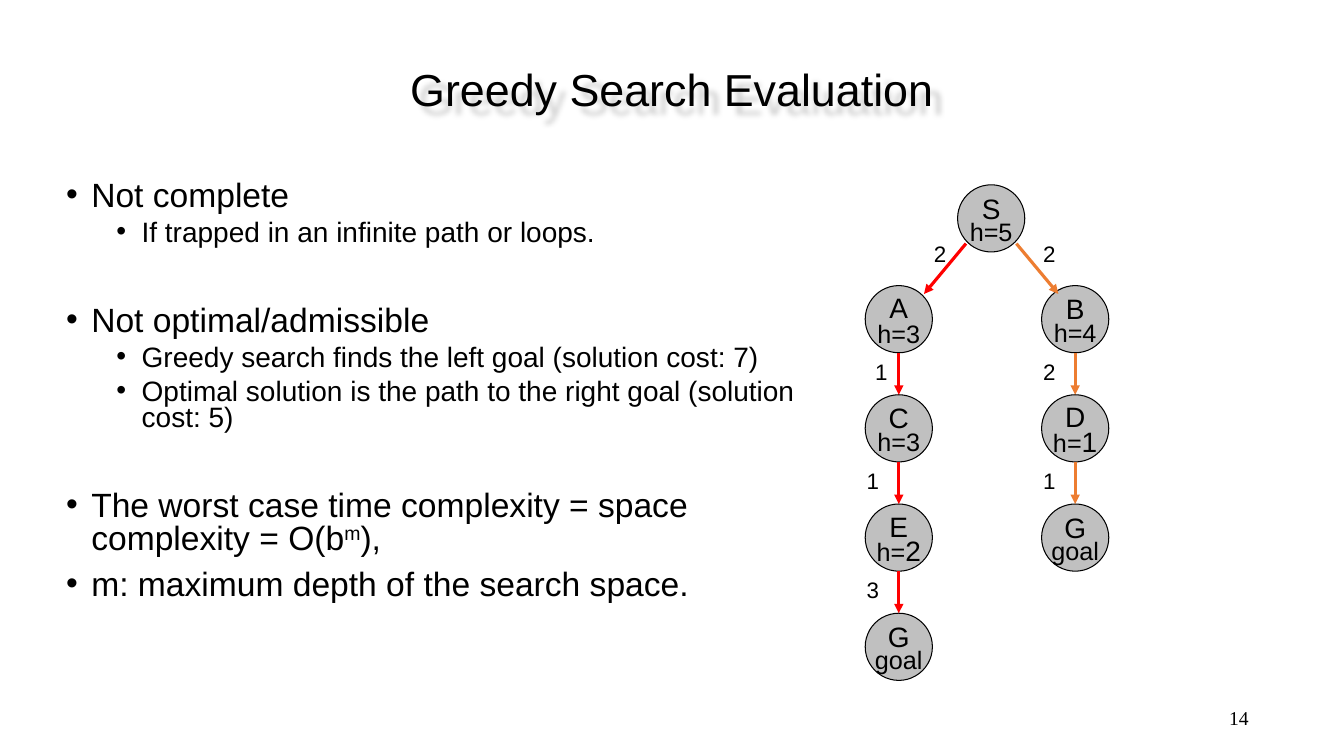
"""Build the slide on the evaluation of greedy search."""
from dataclasses import dataclass

import lxml.etree
import pptx
import pptx.dml.color
import pptx.enum.shapes
import pptx.enum.text
import pptx.oxml.ns
import pptx.util

Pt = pptx.util.Pt
qn = pptx.oxml.ns.qn
ALIGN = pptx.enum.text.PP_ALIGN
ANCHOR = pptx.enum.text.MSO_ANCHOR
COLORS = {"text": "000000", "node": "C0C0C0", "greedy": "FF0000", "optimal": "ED7D31"}
SIZE = 48
LEFT, MIDDLE, RIGHT = 618, 684, 744
ROWS = (132, 204, 282, 360, 438)


@dataclass
class Bullet:
    runs: tuple[str, ...]
    level: int = 0
    gap: float = 0


@dataclass
class Node:
    name: str
    x: float
    y: float
    note: str
    digit: str = ""
    spacing: float = 0.7


@dataclass
class Edge:
    parent: str
    child: str
    cost: str
    label_x: float
    color: str
    start_dx: float = 0
    end_dx: float = 0


BULLETS = [
    Bullet(("Not complete",)),
    Bullet(("If trapped in an infinite path or loops.",), 1),
    Bullet(("Not optimal/admissible",), gap=32),
    Bullet(("Greedy search finds the left goal (solution cost: 7)",), 1),
    Bullet(("Optimal solution is the path to the right goal (solution cost: 5)",), 1),
    Bullet(("The worst case time complexity = space complexity = O(b", "m", "),"), gap=32),
    Bullet(("m: maximum depth of the search space.",)),
]
NODES = {
    "S": Node("S", MIDDLE, ROWS[0], "h=5"),
    "A": Node("A", LEFT, ROWS[1], "h=3", spacing=0.8),
    "B": Node("B", RIGHT, ROWS[1], "h=4"),
    "C": Node("C", LEFT, ROWS[2], "h=3"),
    "D": Node("D", RIGHT, ROWS[2], "h=", "1"),
    "E": Node("E", LEFT, ROWS[3], "h=", "2"),
    "G right": Node("G", RIGHT, ROWS[3], "goal"),
    "G left": Node("G", LEFT, ROWS[4], "goal"),
}
EDGES = [
    Edge("S", "A", "2", 660, "greedy", -18, 18),
    Edge("S", "B", "2", 738, "optimal", 18, -12),
    Edge("A", "C", "1", 618, "greedy"),
    Edge("B", "D", "2", 738, "optimal"),
    Edge("C", "E", "1", 612, "greedy"),
    Edge("D", "G right", "1", 738, "optimal"),
    Edge("E", "G left", "3", 612, "greedy"),
]


def rgb(name: str) -> pptx.dml.color.RGBColor:
    return pptx.dml.color.RGBColor.from_string(COLORS[name])


def add_text(p, text: str, *, size: float, font: str = "Arial", align=None, raised: bool = False) -> None:
    r = p.add_run()
    r.text = text
    r.font.size, r.font.name = Pt(size), font
    r.font.color.rgb = rgb("text")
    if align is not None:
        p.alignment = align
    if raised:
        r.font._element.set("baseline", "30000")


def place(sp, x: float, y: float, w: float, h: float) -> None:
    sp.left, sp.top, sp.width, sp.height = Pt(x), Pt(y), Pt(w), Pt(h)


def add_box(s, x: float, y: float, w: float, h: float, wrap: bool = False):
    tf = s.shapes.add_textbox(Pt(x), Pt(y), Pt(w), Pt(h)).text_frame
    tf.word_wrap = wrap
    return tf


def fill_title(sp, text: str) -> None:
    place(sp, 168, 30, 624, 66)
    tf = sp.text_frame
    tf.word_wrap, tf.vertical_anchor = False, ANCHOR.MIDDLE
    tf.auto_size = pptx.enum.text.MSO_AUTO_SIZE.NONE
    add_text(tf.paragraphs[0], text, size=32, align=ALIGN.CENTER)
    effects = lxml.etree.SubElement(sp._element.spPr, qn("a:effectLst"))
    shadow = lxml.etree.SubElement(
        effects, qn("a:outerShdw"), blurRad=str(Pt(4)), dist=str(Pt(8)), dir="2700000")
    black = lxml.etree.SubElement(shadow, qn("a:srgbClr"), val=COLORS["text"])
    lxml.etree.SubElement(black, qn("a:alpha"), val="20000")


def fill_body(sp, bullets: list[Bullet]) -> None:
    place(sp, 40, 126, 536, 372)
    tf = sp.text_frame
    tf.word_wrap, tf.vertical_anchor = True, ANCHOR.TOP
    tf.auto_size = pptx.enum.text.MSO_AUTO_SIZE.NONE
    for i, bullet in enumerate(bullets):
        p = tf.add_paragraph() if i else tf.paragraphs[0]
        p.level, p.line_spacing = bullet.level, 0.8
        p.space_before = Pt((5 if bullet.level else 10) + bullet.gap)
        p.space_after = Pt(0)
        pPr = p._p.get_or_add_pPr()
        pPr.set("marL", str(Pt(18 + 36 * bullet.level)))
        pPr.set("indent", str(Pt(-18)))
        lxml.etree.SubElement(pPr, qn("a:buFont"), typeface="Arial")
        lxml.etree.SubElement(pPr, qn("a:buChar"), char="•")
        for j, text in enumerate(bullet.runs):
            add_text(p, text, size=20 if bullet.level else 24, raised=j == 1)


def draw_node(s, node: Node) -> None:
    oval = pptx.enum.shapes.MSO_SHAPE.OVAL
    sp = s.shapes.add_shape(oval, Pt(node.x), Pt(node.y), Pt(SIZE), Pt(SIZE))
    sp.shadow.inherit = False
    sp.fill.solid()
    sp.fill.fore_color.rgb = rgb("node")
    sp.line.color.rgb, sp.line.width = rgb("text"), Pt(0.75)
    tf = sp.text_frame
    tf.word_wrap, tf.vertical_anchor = False, ANCHOR.MIDDLE
    add_text(tf.paragraphs[0], node.name, size=20, align=ALIGN.CENTER)
    p = tf.add_paragraph()
    p.line_spacing = node.spacing
    add_text(p, node.note, size=18, align=ALIGN.CENTER)
    if node.digit:
        add_text(p, node.digit, size=20)


def draw_edge(s, edge: Edge) -> None:
    parent, child = NODES[edge.parent], NODES[edge.child]
    inset = 6 if edge.start_dx else 0
    start_y = parent.y + SIZE - inset
    line = s.shapes.add_connector(
        pptx.enum.shapes.MSO_CONNECTOR.STRAIGHT,
        Pt(parent.x + SIZE / 2 + edge.start_dx), Pt(start_y),
        Pt(child.x + SIZE / 2 + edge.end_dx), Pt(child.y + inset))
    line.line.color.rgb, line.line.width = rgb(edge.color), Pt(2.25)
    lxml.etree.SubElement(line.line._get_or_add_ln(), qn("a:tailEnd"), type="triangle")
    lxml.etree.SubElement(line._element.spPr, qn("a:effectLst"))
    tf = add_box(s, edge.label_x, start_y - inset, 23, 26.5)
    add_text(tf.paragraphs[0], edge.cost, size=16)


def main() -> None:
    prs = pptx.Presentation()
    prs.slide_width, prs.slide_height = Pt(960), Pt(540)
    s = prs.slides.add_slide(prs.slide_layouts[1])
    fill_title(s.shapes.title, "Greedy Search Evaluation")
    fill_body(s.placeholders[1], BULLETS)
    for node in NODES.values():
        draw_node(s, node)
    for edge in EDGES:
        draw_edge(s, edge)
    tf = add_box(s, 683, 498, 216, 29, wrap=True)
    tf.vertical_anchor = ANCHOR.MIDDLE
    add_text(tf.paragraphs[0], "14", size=14, font="Times New Roman", align=ALIGN.RIGHT)
    prs.save("out.pptx")


main()
